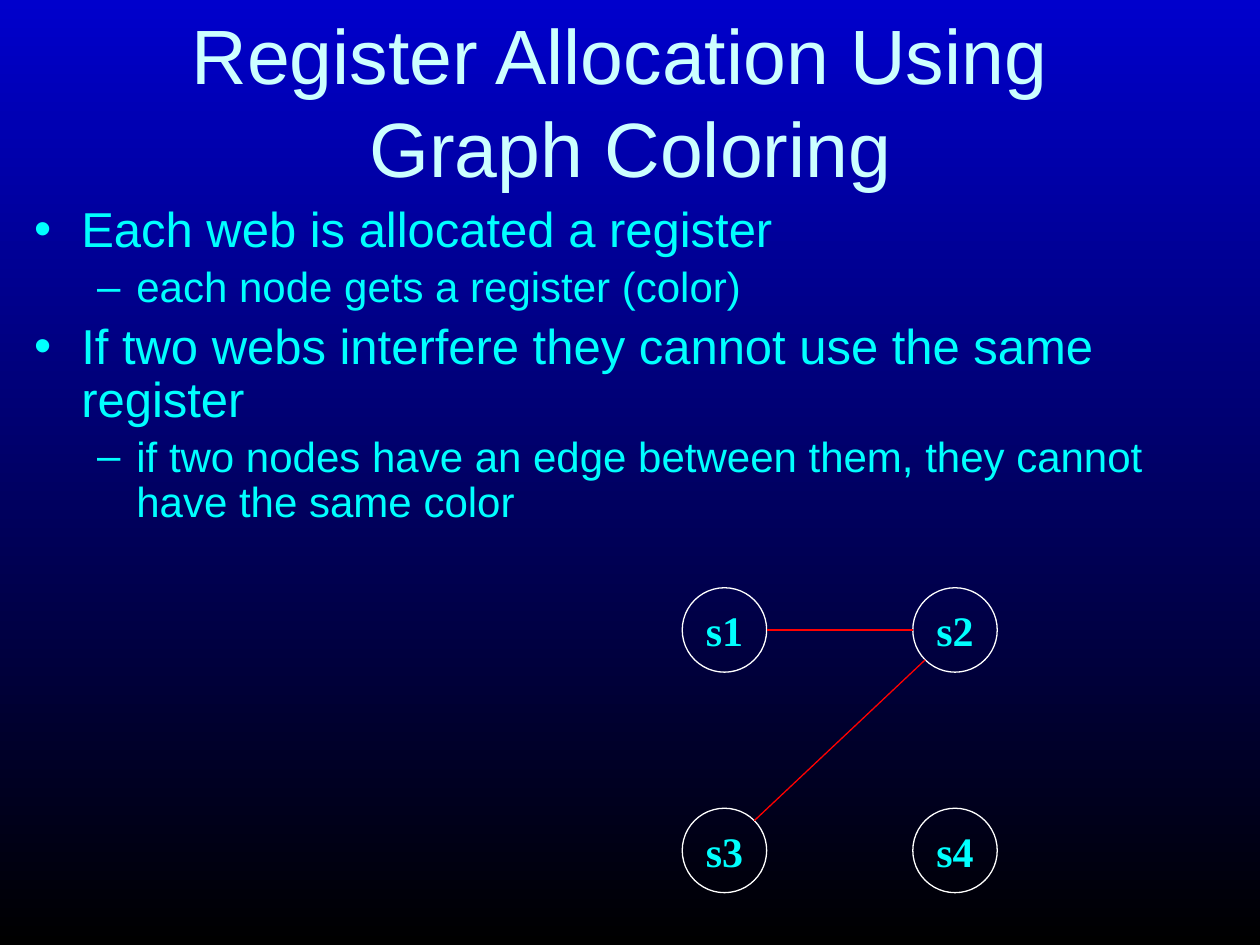
import math

import pptx
import pptx.dml.color
import pptx.enum.shapes
import pptx.enum.text
import pptx.oxml.ns
import pptx.util
from lxml import etree

Inches = pptx.util.Inches
Pt = pptx.util.Pt
RGBColor = pptx.dml.color.RGBColor
MSO_ANCHOR = pptx.enum.text.MSO_ANCHOR
MSO_AUTO_SIZE = pptx.enum.text.MSO_AUTO_SIZE
PP_ALIGN = pptx.enum.text.PP_ALIGN

BLUE = RGBColor(0x00, 0x00, 0xCC)
BLACK = RGBColor(0x00, 0x00, 0x00)
PALE_CYAN = RGBColor(0xCC, 0xFF, 0xFF)
CYAN = RGBColor(0x00, 0xFF, 0xFF)
WHITE = RGBColor(0xFF, 0xFF, 0xFF)
RED = RGBColor(0xFF, 0x00, 0x00)

NODE_SIZE = 0.67
LABEL_SIZE = 0.5
COLUMNS = (5.75, 7.58)
ROWS = (5.0, 6.75)
NODES = {
    f"s{number}": centre
    for number, centre in enumerate(((x, y) for y in ROWS for x in COLUMNS), 1)
}
# Each edge: first node, second node, angle at which it leaves the first node
EDGES = [("s1", "s2", 0), ("s3", "s2", -45)]

BULLETS = [
    (0, "Each web is allocated a register"),
    (1, "each node gets a register (color)"),
    (0, "If two webs interfere they cannot use the same register"),
    (1, "if two nodes have an edge between them, they cannot have the same color"),
]
BULLET_SIZES = (28, 24)


class SlideBuilder:
    def __init__(self, page):
        self.page = page
        self.line_width = Pt(0.75)

    def background(self, top, bottom):
        fill = self.page.background.fill
        fill.gradient()
        fill.gradient_angle = 270
        for stop, color, position in zip(fill.gradient_stops, (top, bottom), (0, 1)):
            stop.color.rgb = color
            stop.position = position

    def place(self, box, left, top, width, height):
        box.left, box.top = Inches(left), Inches(top)
        box.width, box.height = Inches(width), Inches(height)

    def span(self, para, text, size, color, font="Arial", bold=False):
        span = para.add_run()
        span.text = text
        span.font.name = font
        span.font.size = Pt(size)
        span.font.bold = bold
        span.font.color.rgb = color

    def title(self, lines):
        box = self.page.shapes.title
        self.place(box, 0.42, 0.17, 9.17, 1.25)
        frame = box.text_frame
        frame.auto_size = MSO_AUTO_SIZE.NONE
        frame.vertical_anchor = MSO_ANCHOR.MIDDLE
        para = frame.paragraphs[0]
        para.alignment = PP_ALIGN.CENTER
        for index, line in enumerate(lines):
            if index:
                para.add_line_break()
            self.span(para, line, 44, PALE_CYAN)

    def bullets(self, items):
        box = self.page.placeholders[1]
        self.place(box, 0.17, 1.58, 9.58, 5.33)
        frame = box.text_frame
        frame.auto_size = MSO_AUTO_SIZE.NONE
        for index, (level, text) in enumerate(items):
            para = frame.add_paragraph() if index else frame.paragraphs[0]
            para.level = level
            para.line_spacing = 0.9
            self.span(para, text, BULLET_SIZES[level], CYAN)

    def node(self, name, x, y):
        corner = NODE_SIZE / 2
        circle = self.page.shapes.add_shape(
            pptx.enum.shapes.MSO_SHAPE.OVAL,
            Inches(x - corner), Inches(y - corner),
            Inches(NODE_SIZE), Inches(NODE_SIZE),
        )
        circle.shadow.inherit = False
        circle.fill.background()
        circle.line.color.rgb = WHITE
        circle.line.width = self.line_width

        corner = LABEL_SIZE / 2
        label = self.page.shapes.add_textbox(
            Inches(x - corner), Inches(y - corner),
            Inches(LABEL_SIZE), Inches(LABEL_SIZE),
        )
        frame = label.text_frame
        frame.word_wrap = False
        frame.auto_size = MSO_AUTO_SIZE.SHAPE_TO_FIT_TEXT
        frame.vertical_anchor = MSO_ANCHOR.MIDDLE
        para = frame.paragraphs[0]
        para.alignment = PP_ALIGN.CENTER
        self.span(para, name, 24, CYAN, "Times New Roman", True)

    def edge(self, start, end, angle):
        """Join two nodes from rim to rim, leaving the first at the given angle."""
        dx = NODE_SIZE / 2 * math.cos(math.radians(angle))
        dy = NODE_SIZE / 2 * math.sin(math.radians(angle))
        line = self.page.shapes.add_connector(
            pptx.enum.shapes.MSO_CONNECTOR.STRAIGHT,
            Inches(start[0] + dx), Inches(start[1] + dy),
            Inches(end[0] - dx), Inches(end[1] - dy),
        )
        line.line.color.rgb = RED
        line.line.width = self.line_width
        properties = line._element.spPr
        etree.SubElement(properties, pptx.oxml.ns.qn("a:effectLst"))


def main():
    deck = pptx.Presentation()
    deck.slide_width, deck.slide_height = Inches(10), Inches(7.5)
    builder = SlideBuilder(deck.slides.add_slide(deck.slide_layouts[1]))
    builder.background(BLUE, BLACK)
    builder.title(["Register Allocation Using ", "Graph Coloring"])
    builder.bullets(BULLETS)
    for name, (x, y) in NODES.items():
        builder.node(name, x, y)
    for first, second, angle in EDGES:
        builder.edge(NODES[first], NODES[second], angle)
    deck.save("out.pptx")


if __name__ == "__main__":
    main()
